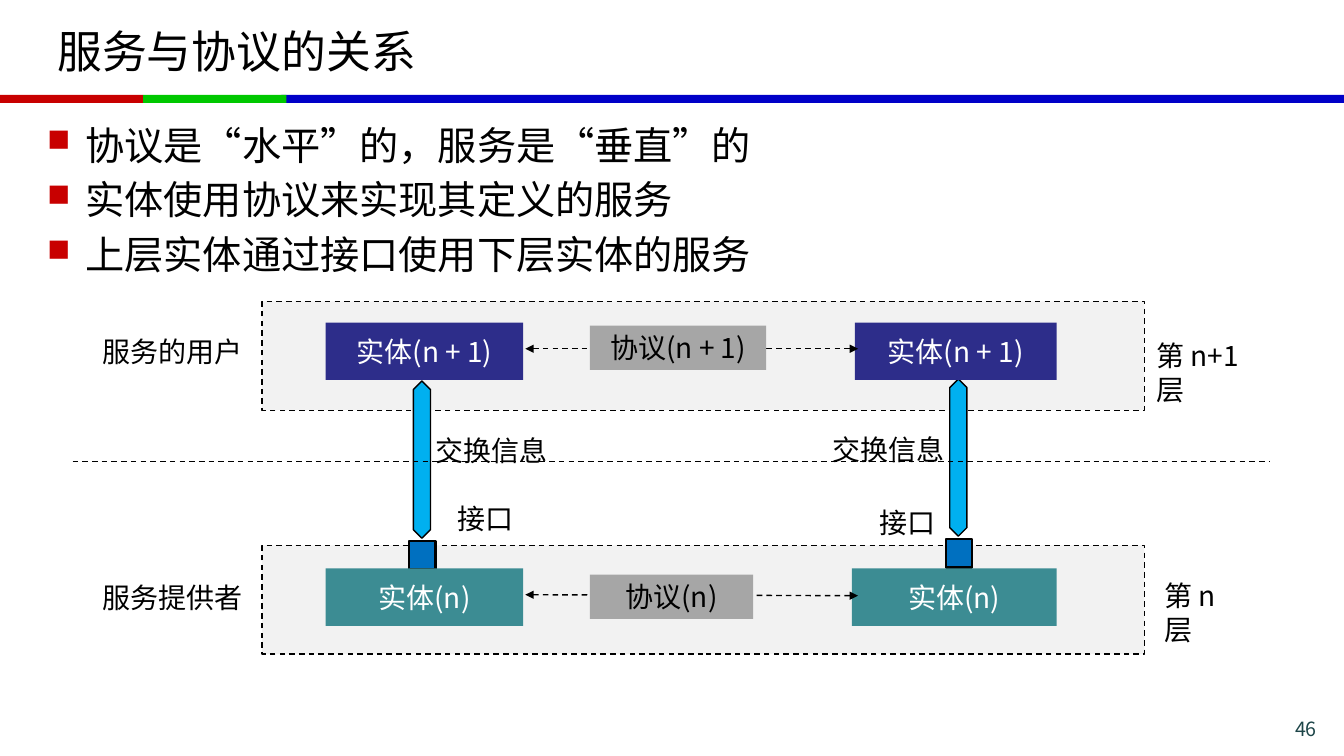
"""Build the slide on how services relate to protocols between layers."""
from lxml import etree
from pptx import Presentation
from pptx import util as u
from pptx.dml.color import RGBColor
from pptx.enum import dml, shapes, text
from pptx.oxml.ns import qn

PX = u.Inches(1) // 100
FONT = "Noto Sans CJK SC"
BLACK = RGBColor(0x00, 0x00, 0x00)
WHITE = RGBColor(0xFF, 0xFF, 0xFF)
RED = RGBColor(0xC8, 0x00, 0x00)
GREEN = RGBColor(0x00, 0xC8, 0x00)
BLUE = RGBColor(0x00, 0x00, 0xC8)
PALE = RGBColor(0xF2, 0xF2, 0xF2)
GREY = RGBColor(0xA6, 0xA6, 0xA6)
NAVY = RGBColor(0x2D, 0x2D, 0x8A)
TEAL = RGBColor(0x3C, 0x8C, 0x93)
PORT_BLUE = RGBColor(0x00, 0x70, 0xC0)
ARROW_BLUE = RGBColor(0x00, 0xB0, 0xF0)
NUMBER_COLOR = RGBColor(0x1E, 0x46, 0x49)
LEFT, CENTER, RIGHT = text.PP_ALIGN.LEFT, text.PP_ALIGN.CENTER, text.PP_ALIGN.RIGHT
TOP, MIDDLE = text.MSO_ANCHOR.TOP, text.MSO_ANCHOR.MIDDLE

presentation = Presentation()
presentation.slide_width = 1333 * PX
presentation.slide_height = 750 * PX
slide = presentation.slides.add_slide(presentation.slide_layouts[6])


def add_box(box, fill, line_width=0, dashed=False, kind=shapes.MSO_SHAPE.RECTANGLE):
    shape = slide.shapes.add_shape(kind, *(value * PX for value in box))
    shape.shadow.inherit = False
    shape.fill.solid()
    shape.fill.fore_color.rgb = fill
    if line_width:
        shape.line.color.rgb = BLACK
        shape.line.width = u.Pt(line_width)
        if dashed:
            shape.line.dash_style = dml.MSO_LINE.DASH
    else:
        shape.line.fill.background()
    return shape


def write(box, lines, size=20, color=BLACK, align=LEFT, anchor=TOP,
          wrap=False, fill=None, bullets=False):
    if fill is None:
        shape = slide.shapes.add_textbox(*(value * PX for value in box))
    else:
        shape = add_box(box, fill)
    frame = shape.text_frame
    frame.word_wrap = wrap
    frame.vertical_anchor = anchor
    frame.text = "\n".join(lines)
    for index, paragraph in enumerate(frame.paragraphs):
        paragraph.alignment = align
        if bullets:
            properties = paragraph._p.get_or_add_pPr()
            properties.set("marL", str(38 * PX))
            properties.set("indent", str(-38 * PX))
            bullet_color = etree.SubElement(properties, qn("a:buClr"))
            etree.SubElement(bullet_color, qn("a:srgbClr"), val=str(RED))
            etree.SubElement(properties, qn("a:buSzPct"), val="80000")
            etree.SubElement(properties, qn("a:buChar"), char="■")
            if index:
                paragraph.space_before = u.Pt(size * 0.2)
        paragraph.font.size = u.Pt(size)
        paragraph.font.color.rgb = color
        paragraph.font.name = FONT
        defaults = paragraph._p.pPr.find(qn("a:defRPr"))
        etree.SubElement(defaults, qn("a:ea"), typeface=FONT)


for left, width, color in [(279, 1054, BLUE), (0, 142, RED), (142, 142, GREEN)]:
    add_box((left, 94, width, 8), color)

write((47, 8, 1239, 84), ["服务与协议的关系"], size=32, anchor=MIDDLE, wrap=True)
write((37, 115, 1260, 186), [
    "协议是“水平”的，服务是“垂直”的",
    "实体使用协议来实现其定义的服务",
    "上层实体通过接口使用下层实体的服务",
], size=28, wrap=True, bullets=True)
write((1186, 706, 130, 28), ["46"], size=14, color=NUMBER_COLOR, align=RIGHT, wrap=True)

for top in (299, 541):
    add_box((260, top, 875, 108), PALE, 1, dashed=True)

for port_left, port_top in [(406, 537), (938, 535)]:
    add_box((port_left, port_top, 26, 28), PORT_BLUE, 1.5)
    exchange = add_box((port_left + 4, port_top - 159, 17, 156), ARROW_BLUE, 1,
                       kind=shapes.MSO_SHAPE.UP_DOWN_ARROW)
    exchange.adjustments[0] = 0.5
    exchange.adjustments[1] = 1.802

layers = [
    ("n + 1", 320, NAVY, 848, 200),
    ("n", 564, TEAL, 845, 203),
]
for level, top, color, right_left, right_width in layers:
    for left, width in [(323, 196), (right_left, right_width)]:
        write((left, top, width, 57), [f"实体({level})"], color=WHITE,
              align=CENTER, anchor=MIDDLE, fill=color)

dashed_lines = [
    (521, 346, 851, 346, True),
    (521, 590, 851, 591, True),
    (72, 458, 1260, 458, False),
]
for x1, y1, x2, y2, has_arrows in dashed_lines:
    connector = slide.shapes.add_connector(
        shapes.MSO_CONNECTOR.STRAIGHT, x1 * PX, y1 * PX, x2 * PX, y2 * PX)
    connector.line.color.rgb = BLACK
    connector.line.width = u.Pt(1)
    connector.line.dash_style = dml.MSO_LINE.DASH
    if has_arrows:
        for end in ("a:headEnd", "a:tailEnd"):
            etree.SubElement(connector.line._get_or_add_ln(), qn(end), type="triangle")
    etree.SubElement(connector._element.spPr, qn("a:effectLst"))

for top, width, label in [(323, 175, "协议(n + 1)"), (570, 162, "协议(n)")]:
    write((585, top, width, 44), [label], align=CENTER, wrap=True, fill=GREY)

labels = [
    (92, 327, 160, "服务的用户"),
    (92, 571, 160, "服务提供者"),
    (422, 425, 132, "交换信息"),
    (816, 424, 132, "交换信息"),
    (444, 493, 76, "接口"),
    (862, 497, 76, "接口"),
]
for left, top, width, label in labels:
    write((left, top, width, 44), [label])

write((1137, 331, 130, 44), ["第 n+1 层"], wrap=True, fill=WHITE)
write((1145, 569, 95, 44), ["第 n 层"], wrap=True)

presentation.save("out.pptx")
